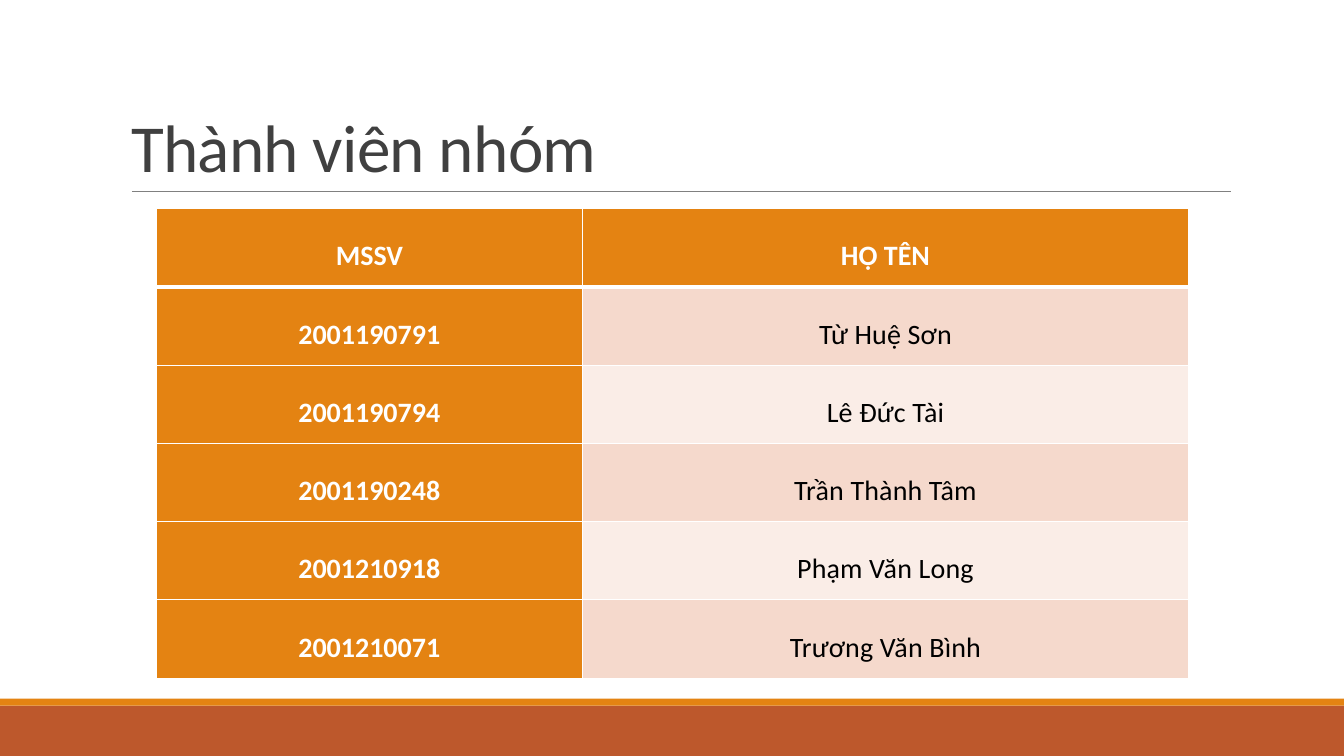
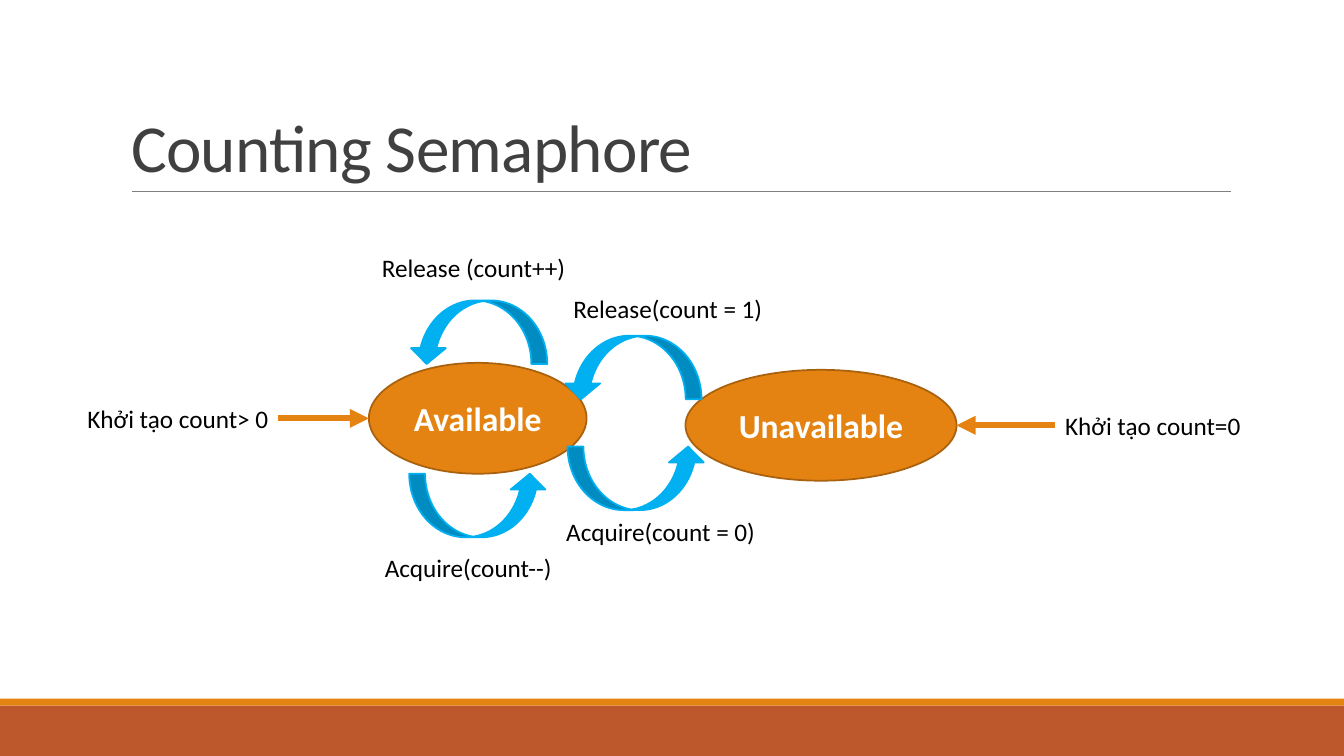
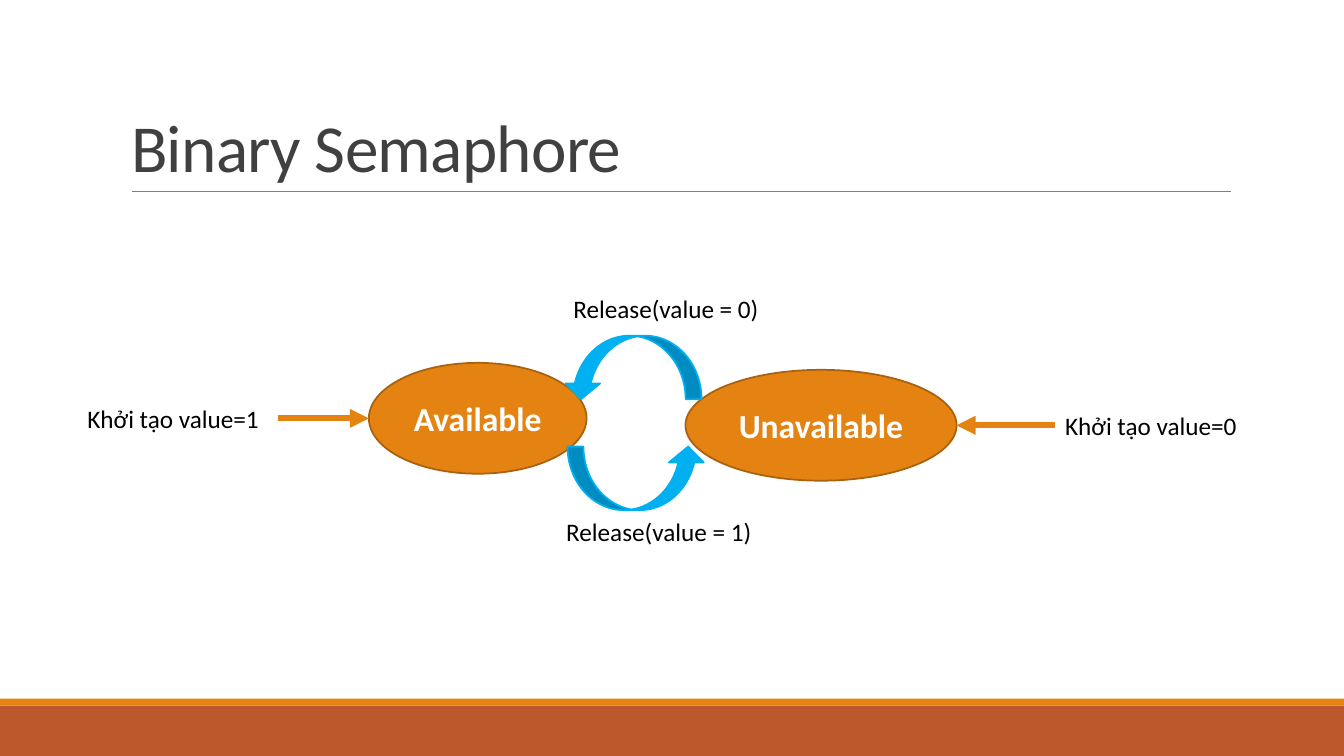
"""Build three slides on semaphores: the team, counting and binary semaphore."""
from dataclasses import dataclass

from lxml.etree import SubElement
from pptx import Presentation
from pptx.dml.color import RGBColor
from pptx.enum.shapes import MSO_CONNECTOR, MSO_SHAPE
from pptx.enum.text import MSO_ANCHOR, MSO_AUTO_SIZE, PP_ALIGN
from pptx.oxml import parse_xml
from pptx.oxml.ns import nsdecls, qn
from pptx.util import Pt


@dataclass(frozen=True)
class Theme:
    font: str = "Calibri"
    rust: RGBColor = RGBColor(0xBD, 0x58, 0x2C)
    orange: RGBColor = RGBColor(0xE4, 0x83, 0x12)
    brown: RGBColor = RGBColor(0xA9, 0x61, 0x0D)
    blue: RGBColor = RGBColor(0x00, 0xB0, 0xF0)
    gray: RGBColor = RGBColor(0x80, 0x80, 0x80)
    charcoal: RGBColor = RGBColor(0x40, 0x40, 0x40)
    black: RGBColor = RGBColor(0, 0, 0)
    white: RGBColor = RGBColor(0xFF, 0xFF, 0xFF)
    stripes: tuple = (RGBColor(0xFA, 0xED, 0xE7), RGBColor(0xF5, 0xD9, 0xCC))
    title_size: int = 48
    state_size: int = 24
    table_size: int = 20
    caption_size: int = 18


theme = Theme()


def write(paragraph, text, size, color, bold=False, spacing=0):
    run = paragraph.add_run()
    run.text = text
    run.font.name = theme.font
    run.font.size = Pt(size)
    run.font.bold = bold
    run.font.color.rgb = color
    if spacing:
        run.font._element.set("spc", str(spacing))


def draw_line(slide, start, end, color, width, arrow=False):
    line = slide.shapes.add_connector(
        MSO_CONNECTOR.STRAIGHT, *(Pt(value) for value in start + end))
    line.line.color.rgb = color
    line.line.width = Pt(width)
    if arrow:
        SubElement(line.line._get_or_add_ln(), qn("a:tailEnd"), type="triangle")
    SubElement(line.element.spPr, qn("a:effectLst"))
    return line


deck = Presentation()
deck.slide_width, deck.slide_height = Pt(960), Pt(540)
layout = deck.slide_layouts[5]

slides = []
for heading in ("Thành viên nhóm", "Counting Semaphore", "Binary Semaphore"):
    slide = deck.slides.add_slide(layout)
    title = slide.shapes.title
    title.left, title.top, title.width, title.height = Pt(86.4), Pt(22.3), Pt(792), Pt(114.5)
    title.text_frame.auto_size = MSO_AUTO_SIZE.NONE
    title.text_frame.vertical_anchor = MSO_ANCHOR.BOTTOM
    title_line = title.text_frame.paragraphs[0]
    title_line.alignment = PP_ALIGN.LEFT
    title_line.line_spacing = 0.85
    write(title_line, heading, theme.title_size, theme.charcoal, spacing=-50)
    slides.append(slide)
team_slide, counting_slide, binary_slide = slides

shared_parts = []
for top, height, color in ((504, 36, theme.rust), (499, 5, theme.orange)):
    band = team_slide.shapes.add_shape(MSO_SHAPE.RECTANGLE, 0, Pt(top), Pt(960), Pt(height))
    band.shadow.inherit = False
    band.fill.solid()
    band.fill.fore_color.rgb = color
    band.line.fill.background()
    shared_parts.append(band)
shared_parts.append(draw_line(team_slide, (94.3, 136.8), (879.1, 136.8), theme.gray, 0.5))
for part_id, part in enumerate(shared_parts, 20):
    part.element.xpath(".//p:cNvPr")[0].set("id", str(part_id))
    layout.shapes.element.append(part.element)

members = (
    ("MSSV", "HỌ TÊN"),
    ("2001190791", "Từ Huệ Sơn"),
    ("2001190794", "Lê Đức Tài"),
    ("2001190248", "Trần Thành Tâm"),
    ("2001210918", "Phạm Văn Long"),
    ("2001210071", "Trương Văn Bình"),
)
row_height = 55.9
member_table = team_slide.shapes.add_table(
    len(members), 2, Pt(111.6), Pt(149), Pt(737.3), Pt(row_height * len(members))).table
for column, width in zip(member_table.columns, (304.6, 432.7)):
    column.width = Pt(width)
for row, member in enumerate(members):
    member_table.rows[row].height = Pt(row_height)
    for column, text in enumerate(member):
        cell = member_table.cell(row, column)
        cell.vertical_anchor = MSO_ANCHOR.MIDDLE
        cell.margin_left = cell.margin_right = Pt(5)
        cell.margin_top = cell.margin_bottom = 0
        is_name = row > 0 and column == 1
        cell.fill.solid()
        cell.fill.fore_color.rgb = theme.stripes[row % 2] if is_name else theme.orange
        cell_line = cell.text_frame.paragraphs[0]
        cell_line.alignment = PP_ALIGN.CENTER
        cell_line.line_spacing = 1.5
        cell_line.space_before = cell_line.space_after = Pt(6)
        write(cell_line, text, theme.table_size, theme.black if is_name else theme.white,
              bold=not is_name, spacing=10 if is_name else 0)
        borders = (("L", 1), ("R", 1), ("T", 3 if row == 1 else 1), ("B", 3 if row == 0 else 1))
        for position, (side, width) in enumerate(borders):
            cell._tc.get_or_add_tcPr().insert(position, parse_xml(
                f'<a:ln{side} {nsdecls("a")} w="{Pt(width)}"><a:solidFill>'
                f'<a:srgbClr val="{theme.white}"/></a:solidFill></a:ln{side}>'))

states = (
    (MSO_SHAPE.OVAL, (489.6, 264.2, 193.7, 79.2), 0, theme.orange, theme.brown, "Unavailable"),
    (MSO_SHAPE.OVAL, (263.5, 259.2, 155.5, 79.2), 0, theme.orange, theme.brown, "Available"),
)
self_loops, transitions = (
    tuple((MSO_SHAPE.CURVED_UP_ARROW, (left, top, 98.6, 45.4), turn, theme.blue, theme.blue, "")
          for left, top, turn in places)
    for places in (((292.3, 214.6, 180), (292.3, 338.4, 0)),
                   ((405.4, 319, 0), (402.5, 239.8, 180)))
)
diagrams = (
    (counting_slide, states + self_loops + transitions, (
        ("Khởi tạo count> 0", 55.4, 284.4, 165.6),
        ("Release (count++)", 265.7, 176.4, 151.2),
        ("Release(count = 1)", 402.5, 205.9, 151.2),
        ("Acquire(count = 0)", 397.4, 365, 151.2),
        ("Acquire(count--)", 267.8, 391, 151.2),
        ("Khởi tạo count=0", 753.8, 289.4, 165.6),
    )),
    (binary_slide, states + transitions, (
        ("Khởi tạo value=1", 55.4, 284.4, 165.6),
        ("Release(value = 0)", 402.5, 205.9, 151.2),
        ("Release(value = 1)", 397.4, 365, 151.2),
        ("Khởi tạo value=0", 753.8, 289.4, 165.6),
    )),
)
for slide, nodes, captions in diagrams:
    for preset, box, turn, fill, edge, label in nodes:
        node = slide.shapes.add_shape(preset, *(Pt(value) for value in box))
        node.rotation = turn
        node.shadow.inherit = False
        node.fill.solid()
        node.fill.fore_color.rgb = fill
        node.line.color.rgb = edge
        node.line.width = Pt(1.25)
        if label:
            node.text_frame.vertical_anchor = MSO_ANCHOR.MIDDLE
            state_line = node.text_frame.paragraphs[0]
            state_line.alignment = PP_ALIGN.CENTER
            write(state_line, label, theme.state_size, theme.white, bold=True)
        else:
            node.adjustments[1] = 0.548
    for text, left, top, width in captions:
        caption = slide.shapes.add_textbox(Pt(left), Pt(top), Pt(width), Pt(28.8)).text_frame
        caption.word_wrap = True
        caption.auto_size = MSO_AUTO_SIZE.SHAPE_TO_FIT_TEXT
        write(caption.paragraphs[0], text, theme.caption_size, theme.black)
    for start, end in (((198.7, 298.8), (263.5, 298.8)), ((753.8, 303.8), (683.3, 303.8))):
        draw_line(slide, start, end, theme.orange, 4.5, arrow=True)

deck.save("out.pptx")
